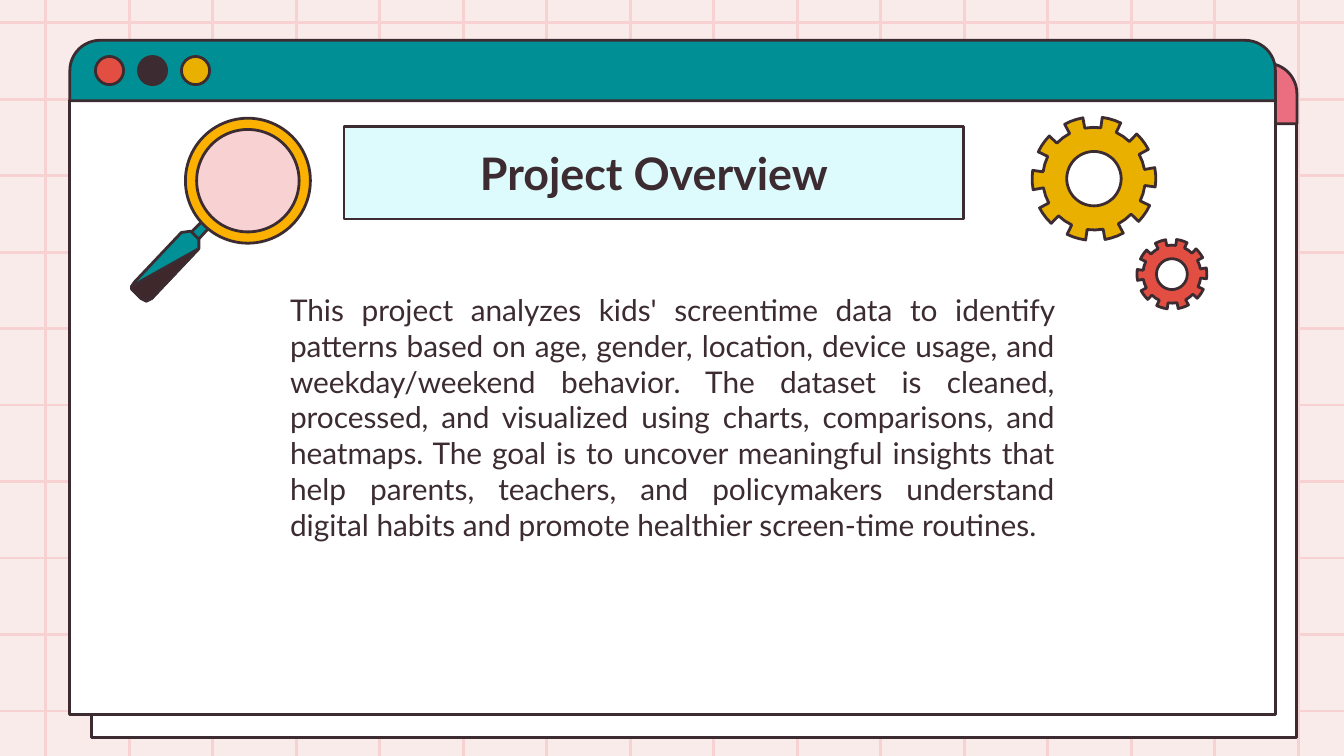
"""Builds the Project Overview slide: a browser window with gears and a magnifying glass."""
from dataclasses import dataclass
from math import cos, radians, sin

from lxml import etree
from pptx import Presentation
from pptx.dml.color import RGBColor
from pptx.enum.shapes import MSO_CONNECTOR, MSO_SHAPE
from pptx.enum.text import MSO_ANCHOR, PP_ALIGN
from pptx.oxml.ns import qn
from pptx.util import Inches, Pt

RECT, OVAL, DONUT = MSO_SHAPE.RECTANGLE, MSO_SHAPE.OVAL, MSO_SHAPE.DONUT
TAB = MSO_SHAPE.ROUND_2_SAME_RECTANGLE
STRAIGHT = MSO_CONNECTOR.STRAIGHT
TOP, MIDDLE = MSO_ANCHOR.TOP, MSO_ANCHOR.MIDDLE
CENTER, JUSTIFY = PP_ALIGN.CENTER, PP_ALIGN.JUSTIFY

WIDTH = 10
HEIGHT = WIDTH * 9 / 16
TEETH = 10
BODY = (
    "This project analyzes kids' screentime data to identify patterns based on age, gender, "
    "location, device usage, and weekday/weekend behavior. The dataset is cleaned, processed, "
    "and visualized using charts, comparisons, and heatmaps. The goal is to uncover meaningful "
    "insights that help parents, teachers, and policymakers understand digital habits and "
    "promote healthier screen-time routines."
)


@dataclass(frozen=True)
class Theme:
    paper: str = "FAEBEB"
    grid: str = "F8D2D2"
    ink: str = "3C2C31"
    white: str = "FFFFFF"
    pink: str = "EB6E80"
    teal: str = "008F95"
    red: str = "E24E42"
    yellow: str = "E9B000"
    title_fill: str = "DDFBFC"
    handle: str = "009096"
    handle_shade: str = "3E282C"
    rim: str = "FCB100"
    font: str = "Lato"
    title_size: int = 24
    body_size: int = 16
    line: float = 1.5


def arc(cx, cy, radius, angles):
    return [(cx + radius * cos(radians(a)), cy + radius * sin(radians(a))) for a in angles]


class Painter:
    def __init__(self, s, theme):
        self.s, self.theme = s, theme

    def background(self):
        fill = self.s.background.fill
        fill.solid()
        fill.fore_color.rgb = RGBColor.from_string(self.theme.paper)

    def outline(self, line, color):
        line.color.rgb = RGBColor.from_string(color)
        line.width = Pt(self.theme.line)

    def finish(self, sp, fill):
        sp.shadow.inherit = False
        sp.fill.solid()
        sp.fill.fore_color.rgb = RGBColor.from_string(fill)
        self.outline(sp.line, self.theme.ink)
        return sp

    def grid_line(self, x1, y1, x2, y2):
        c = self.s.shapes.add_connector(STRAIGHT, *map(Inches, (x1, y1, x2, y2)))
        self.outline(c.line, self.theme.grid)
        etree.SubElement(c._element.spPr, qn("a:effectLst"))

    def shape(self, kind, x, y, w, h, fill, adjust=None):
        sp = self.s.shapes.add_shape(kind, *map(Inches, (x, y, w, h)))
        if adjust is not None:
            sp.adjustments[0] = adjust
        return self.finish(sp, fill)

    def outline_shape(self, fill, *contours):
        contours = [[(Inches(x), Inches(y)) for x, y in points] for points in contours]
        builder = self.s.shapes.build_freeform(*contours[0][0])
        for i, points in enumerate(contours):
            if i:
                builder.move_to(*points[0])
            builder.add_line_segments(points[1:], close=True)
        return self.finish(builder.convert_to_shape(), fill)

    def window(self, x, y, bar_fill):
        self.shape(RECT, x, y + 0.45, 8.97, 4.57, self.theme.white)
        self.shape(TAB, x, y, 8.97, 0.45, bar_fill, 0.5)

    def gear(self, cx, cy, radius, fill):
        rim = []
        for i in range(TEETH):
            mid = i * 360 / TEETH - 1.3
            rim += arc(cx, cy, radius * 0.83, (mid - 18, mid - 9))
            rim += arc(cx, cy, radius, (mid - 9, mid - 3, mid + 3, mid + 9))
            rim += arc(cx, cy, radius * 0.83, (mid + 9,))
        hole = arc(cx, cy, radius * 0.44, range(360, 0, -6))
        self.outline_shape(fill, rim, hole)

    def magnifier(self):
        t = self.theme
        butt = [(0.98, 2.13), (0.98, 2.15), (1, 2.17), (1.05, 2.22), (1.07, 2.23),
                (1.09, 2.24), (1.11, 2.23), (1.13, 2.22), (1.48, 1.85)]
        self.outline_shape(t.handle, [(1.44, 1.82), (1.38, 1.77), (1.52, 1.63), (1.57, 1.68)])
        self.outline_shape(
            t.handle, butt + [(1.48, 1.78), (1.42, 1.72), (1.35, 1.73), (1, 2.1)])
        self.outline_shape(t.handle_shade, butt)
        self.shape(OVAL, 1.44, 0.93, 0.82, 0.82, t.grid)
        self.shape(DONUT, 1.38, 0.88, 0.93, 0.93, t.rim, 0.09)

    def text(self, sp, content, size, align, anchor, bold=False):
        tf = sp.text_frame
        tf.word_wrap = True
        tf.vertical_anchor = anchor
        tf.margin_left = tf.margin_right = tf.margin_top = tf.margin_bottom = Inches(0.1)
        p = tf.paragraphs[0]
        p.alignment = align
        r = p.add_run()
        r.text = content
        r.font.name, r.font.size, r.font.bold = self.theme.font, Pt(size), bold
        r.font.color.rgb = RGBColor.from_string(self.theme.ink)

    def text_box(self, x, y, w, h, content, size, align):
        sp = self.s.shapes.add_textbox(*map(Inches, (x, y, w, h)))
        self.text(sp, content, size, align, TOP)


def main():
    prs = Presentation()
    prs.slide_width, prs.slide_height = Inches(WIDTH), Inches(HEIGHT)
    t = Theme()
    painter = Painter(prs.slides.add_slide(prs.slide_layouts[6]), t)

    painter.background()
    for i in range(16):
        x = 0.34 + i * 9.32 / 15
        painter.grid_line(x, 0, x, HEIGHT)
    for i in range(10):
        y = 0.17 + i * 5.12 / 9
        painter.grid_line(0, y, WIDTH, y)

    painter.window(0.68, 0.47, t.pink)
    painter.window(0.52, 0.3, t.teal)
    for i, color in enumerate((t.red, t.ink, t.yellow)):
        painter.shape(OVAL, 0.71 + i * 0.32, 0.42, 0.21, 0.21, color)

    title = painter.shape(RECT, 2.56, 0.94, 4.61, 0.69, t.title_fill)
    painter.text(title, "Project Overview", t.title_size, CENTER, MIDDLE, bold=True)
    painter.text_box(2.06, 2.07, 5.89, 2.16, BODY, t.body_size, JUSTIFY)

    painter.gear(8.14, 1.33, 0.46, t.yellow)
    painter.gear(8.72, 2.04, 0.26, t.red)
    painter.magnifier()
    prs.save("out.pptx")


if __name__ == "__main__":
    main()
